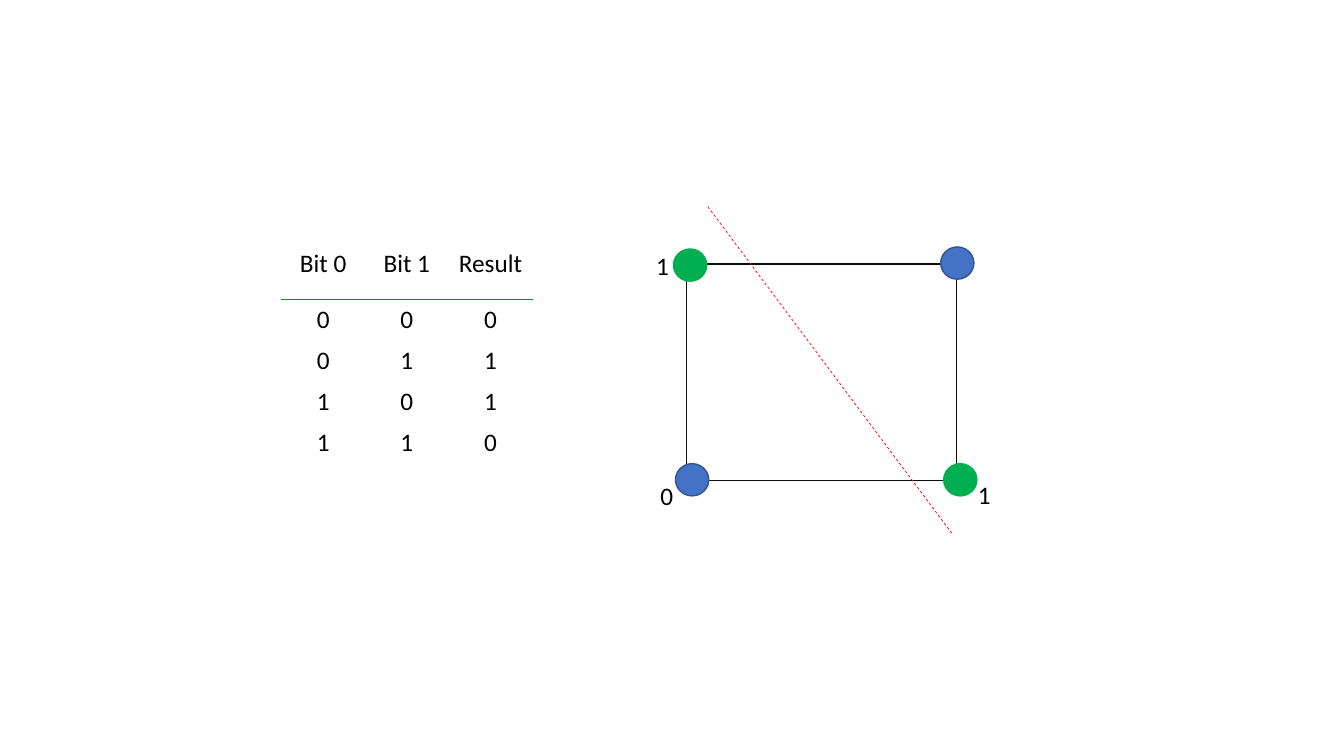
from dataclasses import dataclass

from lxml.etree import SubElement
from pptx import Presentation
from pptx.dml.color import RGBColor
from pptx.enum.dml import MSO_LINE
from pptx.enum.shapes import MSO_CONNECTOR, MSO_SHAPE
from pptx.enum.text import MSO_AUTO_SIZE, PP_ALIGN
from pptx.oxml import parse_xml
from pptx.oxml.ns import nsdecls, qn
from pptx.shapes.autoshape import Shape
from pptx.slide import Slide
from pptx.table import _Cell
from pptx.text.text import TextFrame
from pptx.util import Inches, Pt

BLACK = RGBColor(0x00, 0x00, 0x00)
EDGE = RGBColor(0x0D, 0x0D, 0x0D)
RULE = RGBColor(0x00, 0x70, 0xC0)
BLUE = RGBColor(0x44, 0x72, 0xC4)
DARK_BLUE = RGBColor(0x32, 0x54, 0x91)
GREEN = RGBColor(0x00, 0xB0, 0x50)
RED = RGBColor(0xFF, 0x00, 0x00)

HEADERS = ("Bit 0", "Bit 1", "Result")
INPUTS = (0, 1)
COLUMN_WIDTH = 0.83
HEADER_HEIGHT, ROW_HEIGHT = 0.55, 0.4
NODE_WIDTH, NODE_HEIGHT = 0.33, 0.32
LABEL_HEIGHT = 0.4


@dataclass(frozen=True)
class Node:
    left: float
    top: float
    fill: RGBColor
    line: RGBColor


@dataclass(frozen=True)
class Label:
    text: str
    left: float
    top: float
    width: float


NODES = (
    Node(6.7, 4.6, BLUE, DARK_BLUE),
    Node(9.33, 2.45, BLUE, DARK_BLUE),
    Node(6.68, 2.47, GREEN, GREEN),
    Node(9.36, 4.6, GREEN, GREEN),
)
LABELS = (
    Label("0", 6.45, 4.72, 0.38),
    Label("1", 9.6, 4.71, 0.49),
    Label("1", 6.41, 2.43, 0.49),
)


def write_text(tf: TextFrame, text: str, *, size: float = 18, font: str = "Calibri",
               color: RGBColor = BLACK, align: PP_ALIGN = PP_ALIGN.LEFT) -> None:
    p = tf.paragraphs[0]
    p.alignment = align
    r = p.add_run()
    r.text = text
    r.font.size = Pt(size)
    r.font.name = font
    r.font.color.rgb = color


def add_border(cell: _Cell, side: str) -> None:
    border = parse_xml(
        f'<a:{side} {nsdecls("a")} w="{Pt(1)}"><a:solidFill>'
        f'<a:srgbClr val="{RULE}"/></a:solidFill></a:{side}>'
    )
    cell._tc.get_or_add_tcPr().insert(0, border)


def add_truth_table(s: Slide) -> None:
    results = [(str(a), str(b), str(a ^ b)) for a in INPUTS for b in INPUTS]
    rows = [HEADERS, *results]
    width = COLUMN_WIDTH * len(HEADERS)
    height = HEADER_HEIGHT + ROW_HEIGHT * len(results)
    table = s.shapes.add_table(len(rows), len(HEADERS), Inches(2.79), Inches(2.42),
                               Inches(width), Inches(height)).table
    table.first_row = False
    table.horz_banding = False
    for column in table.columns:
        column.width = Inches(COLUMN_WIDTH)
    for i, row in enumerate(rows):
        table.rows[i].height = Inches(ROW_HEIGHT if i else HEADER_HEIGHT)
        for j, text in enumerate(row):
            cell = table.cell(i, j)
            cell.margin_left = cell.margin_right = Inches(0.05)
            cell.fill.background()
            write_text(cell.text_frame, text, align=PP_ALIGN.CENTER)
            if i == 0:
                add_border(cell, "lnB")
            elif i == 1:
                add_border(cell, "lnT")


def add_outline(s: Slide, kind: MSO_SHAPE, left: float, top: float,
                width: float, height: float, line: RGBColor) -> Shape:
    sp = s.shapes.add_shape(kind, Inches(left), Inches(top), Inches(width), Inches(height))
    sp.shadow.inherit = False
    sp.fill.background()
    sp.line.color.rgb = line
    sp.line.width = Pt(1)
    return sp


def add_node(s: Slide, node: Node) -> None:
    sp = add_outline(s, MSO_SHAPE.OVAL, node.left, node.top, NODE_WIDTH, NODE_HEIGHT, node.line)
    sp.fill.solid()
    sp.fill.fore_color.rgb = node.fill


def add_label(s: Slide, label: Label) -> None:
    sp = s.shapes.add_textbox(Inches(label.left), Inches(label.top),
                              Inches(label.width), Inches(LABEL_HEIGHT))
    tf = sp.text_frame
    tf.word_wrap = True
    tf.auto_size = MSO_AUTO_SIZE.SHAPE_TO_FIT_TEXT
    write_text(tf, label.text)


def add_separator(s: Slide) -> None:
    line = s.shapes.add_connector(MSO_CONNECTOR.STRAIGHT, Inches(7.02), Inches(2.05),
                                  Inches(9.44), Inches(5.29))
    line.line.color.rgb = RED
    line.line.width = Pt(0.5)
    line.line.dash_style = MSO_LINE.DASH
    SubElement(line._element.spPr, qn("a:effectLst"))


def main() -> None:
    prs = Presentation()
    prs.slide_width, prs.slide_height = Inches(13.33), Inches(7.5)
    s = prs.slides.add_slide(prs.slide_layouts[6])
    add_truth_table(s)
    add_outline(s, MSO_SHAPE.RECTANGLE, 6.81, 2.62, 2.68, 2.15, EDGE)
    for label in LABELS:
        add_label(s, label)
    for node in NODES:
        add_node(s, node)
    add_separator(s)
    prs.save("out.pptx")


if __name__ == "__main__":
    main()
